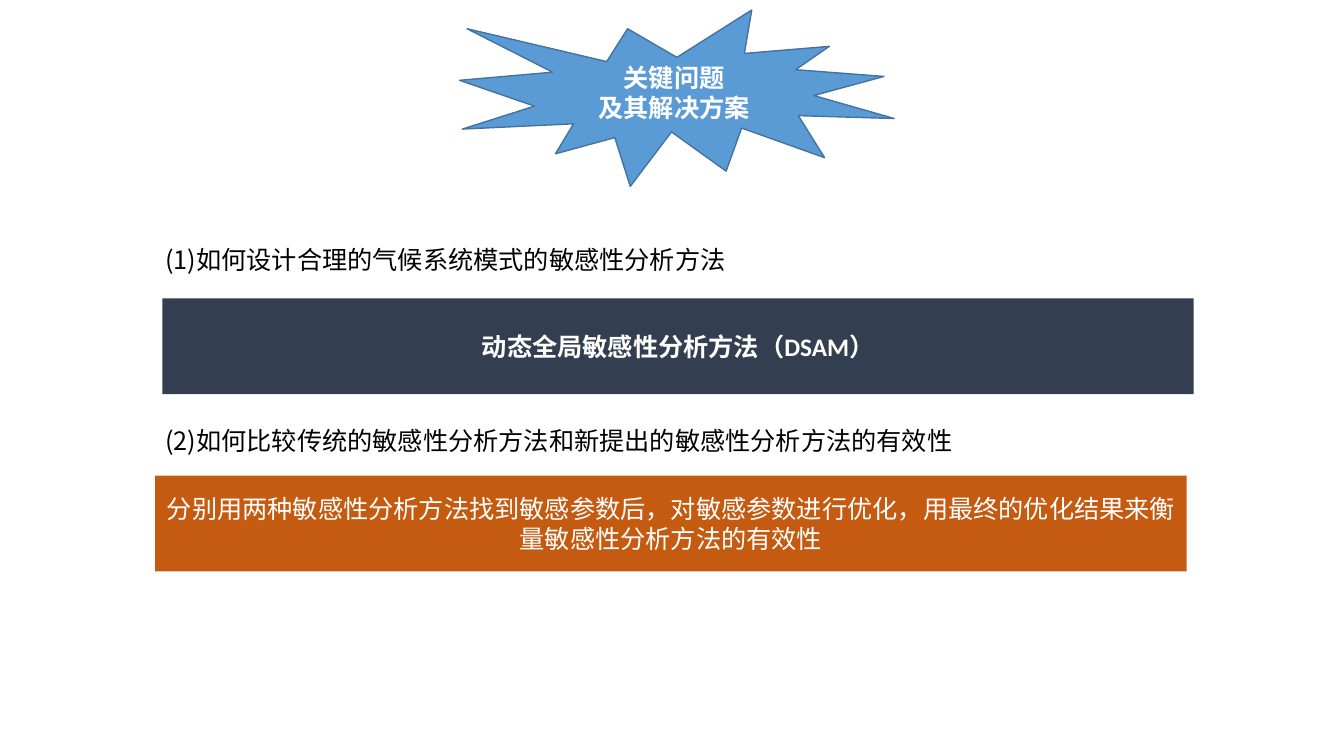
from lxml.etree import SubElement
from pptx import Presentation
from pptx.dml.color import RGBColor
from pptx.enum.shapes import MSO_SHAPE
from pptx.enum.text import MSO_ANCHOR, PP_ALIGN
from pptx.oxml.ns import qn
from pptx.util import Inches, Pt

BLACK = RGBColor(0x00, 0x00, 0x00)
WHITE = RGBColor(0xFF, 0xFF, 0xFF)
NAVY = RGBColor(0x33, 0x3F, 0x50)
ORANGE = RGBColor(0xC5, 0x5A, 0x11)
BLUE = RGBColor(0x5B, 0x9B, 0xD5)
DARK_BLUE = RGBColor(0x43, 0x73, 0x9E)

CHINESE_FONT = "Noto Sans CJK SC"
LATIN_FONT = "Calibri"
BAR_COLUMNS, BAR_ROWS = 76.74, 12.67
QUESTION_ROWS = 5.33


class SlideBuilder:
    """Places styled elements on a slide divided into 100 columns and 100 rows."""

    def __init__(self, presentation):
        self.column = presentation.slide_width / 100
        self.row = presentation.slide_height / 100
        self.size = Pt(18)
        self.slide = presentation.slides.add_slide(presentation.slide_layouts[6])

    def area(self, left, top, width, height):
        return (int(left * self.column), int(top * self.row),
                int(width * self.column), int(height * self.row))

    def set_text(self, shape, text, color, align, bold=False, font=CHINESE_FONT):
        text_frame = shape.text_frame
        text_frame.word_wrap = True
        text_frame.text = text
        for paragraph in text_frame.paragraphs:
            paragraph.alignment = align
            for run in paragraph.runs:
                run.font.size = self.size
                run.font.bold = bold
                run.font.color.rgb = color
                run.font.name = font
                properties = run._r.get_or_add_rPr()
                SubElement(properties, qn("a:ea")).set("typeface", CHINESE_FONT)

    def question(self, left, top, text):
        area = self.area(left, top, BAR_COLUMNS, QUESTION_ROWS)
        self.set_text(self.slide.shapes.add_textbox(*area), text, BLACK, PP_ALIGN.LEFT)

    def panel(self, kind, area, text, fill, outline=None, **style):
        shape = self.slide.shapes.add_shape(kind, *self.area(*area))
        shape.shadow.inherit = False
        shape.fill.solid()
        shape.fill.fore_color.rgb = fill
        if outline is None:
            shape.line.fill.background()
        else:
            shape.line.color.rgb = outline
            shape.line.width = Pt(1)
        shape.text_frame.vertical_anchor = MSO_ANCHOR.MIDDLE
        self.set_text(shape, text, WHITE, PP_ALIGN.CENTER, **style)

    def answer(self, left, top, text, fill, **style):
        area = (left, top, BAR_COLUMNS, BAR_ROWS)
        self.panel(MSO_SHAPE.RECTANGLE, area, text, fill, **style)

    def burst(self, area, text):
        self.panel(MSO_SHAPE.EXPLOSION1, area, text, BLUE, DARK_BLUE, bold=True)


def main():
    presentation = Presentation()
    presentation.slide_width = Inches(13.33)
    presentation.slide_height = Inches(7.5)
    builder = SlideBuilder(presentation)
    builder.question(11.55, 31.6, "(1)如何设计合理的气候系统模式的敏感性分析方法")
    builder.answer(12.08, 39.47, "动态全局敏感性分析方法（DSAM）", NAVY,
                   bold=True, font=LATIN_FONT)
    builder.question(11.55, 55.6,
                     "(2)如何比较传统的敏感性分析方法和新提出的敏感性分析方法的有效性")
    builder.answer(11.55, 62.93,
                   "分别用两种敏感性分析方法找到敏感参数后，对敏感参数进行优化，"
                   "用最终的优化结果来衡量敏感性分析方法的有效性", ORANGE)
    builder.burst((34.2, 1.33, 32.33, 23.33), "关键问题\n及其解决方案")
    presentation.save("out.pptx")


if __name__ == "__main__":
    main()
